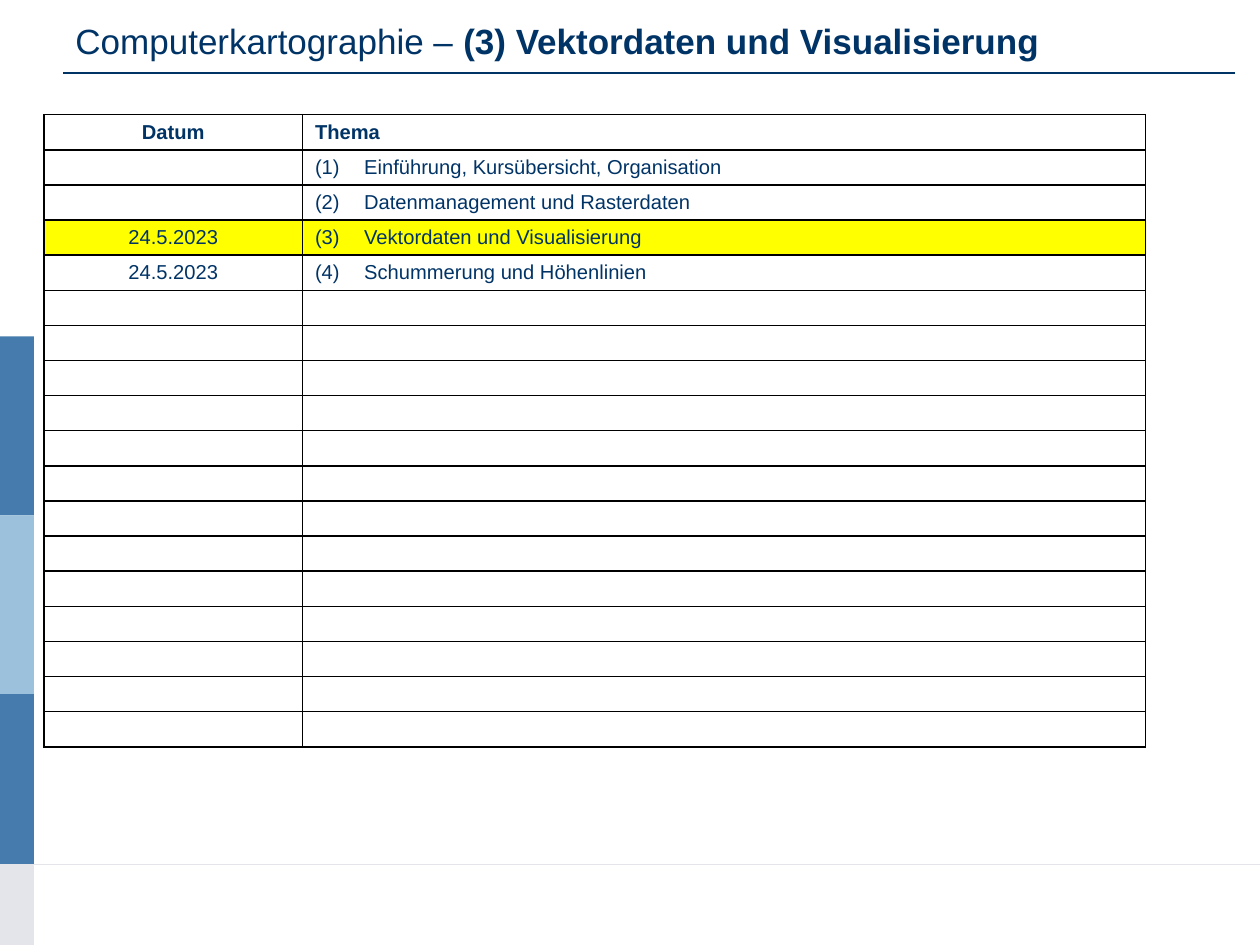
import pptx
import pptx.dml.color
import pptx.enum.shapes
import pptx.enum.text
import pptx.oxml.ns
import pptx.util
from lxml import etree

RGB = pptx.dml.color.RGBColor
NAVY = RGB(0x00, 0x33, 0x66)
STEEL = RGB(0x45, 0x7B, 0xAD)
SKY = RGB(0x9C, 0xC1, 0xDD)
MIST = RGB(0xE4, 0xE5, 0xEA)
YELLOW = RGB(0xFF, 0xFF, 0x00)
BLACK = RGB(0x00, 0x00, 0x00)

ALIGN = pptx.enum.text.PP_ALIGN
MIDDLE = pptx.enum.text.MSO_ANCHOR.MIDDLE
QN = pptx.oxml.ns.qn

GRID_COLUMNS, GRID_ROWS = 100, 75
TABLE_ROWS = 18
HEADER = ("Datum", "Thema")
SESSIONS = [
    ("", "(1)\tEinführung, Kursübersicht, Organisation"),
    ("", "(2)\tDatenmanagement und Rasterdaten"),
    ("24.5.2023", "(3)\tVektordaten und Visualisierung"),
    ("24.5.2023", "(4)\tSchummerung und Höhenlinien"),
]
CURRENT_ROW = 3


class SlideBuilder:
    """Draws on one slide; lengths are columns and rows of a 100 x 75 grid."""

    font_name = "Arial"
    title_size = 20
    table_size = 11.5

    def __init__(self, prs):
        self.s = prs.slides.add_slide(prs.slide_layouts[6])
        self.column = prs.slide_width / GRID_COLUMNS
        self.row = prs.slide_height / GRID_ROWS

    def x(self, columns):
        return pptx.util.Emu(round(columns * self.column))

    def y(self, rows):
        return pptx.util.Emu(round(rows * self.row))

    def place(self, left, top, width, height):
        return self.x(left), self.y(top), self.x(width), self.y(height)

    def bar(self, top, bottom, color):
        sp = self.s.shapes.add_shape(
            pptx.enum.shapes.MSO_SHAPE.RECTANGLE,
            *self.place(0, top, 2.7, bottom - top))
        sp.shadow.inherit = False
        sp.fill.solid()
        sp.fill.fore_color.rgb = color
        sp.line.fill.background()

    def rule(self, left, right, top, color, width):
        line = self.s.shapes.add_connector(
            pptx.enum.shapes.MSO_CONNECTOR.STRAIGHT,
            self.x(left), self.y(top), self.x(right), self.y(top))
        line.line.color.rgb = color
        line.line.width = pptx.util.Pt(width)
        etree.SubElement(line._element.spPr, QN("a:effectLst"))

    def run(self, p, text, size, bold=False):
        r = p.add_run()
        r.text = text
        style = {"name": self.font_name, "size": pptx.util.Pt(size), "bold": bold}
        for name, value in style.items():
            setattr(r.font, name, value)
        r.font.color.rgb = NAVY

    def title(self, parts, left, top, width, height):
        sp = self.s.shapes.add_textbox(*self.place(left, top, width, height))
        tf = sp.text_frame
        tf.word_wrap = True
        tf.vertical_anchor = MIDDLE
        for text, bold in parts:
            self.run(tf.paragraphs[0], text, self.title_size, bold)

    def cell_borders(self, cell):
        tc_pr = cell._tc.get_or_add_tcPr()
        for side in ("lnL", "lnR", "lnT", "lnB"):
            ln = etree.SubElement(tc_pr, QN(f"a:{side}"), w=str(pptx.util.Pt(1)))
            fill = etree.SubElement(ln, QN("a:solidFill"))
            etree.SubElement(fill, QN("a:srgbClr"), val=str(BLACK))

    def hanging_indent(self, p, columns):
        p_pr = p._p.get_or_add_pPr()
        indent = self.x(columns)
        p_pr.set("marL", str(indent))
        p_pr.set("indent", str(-indent))

    def cell(self, cell, text, centered, bold, fill):
        self.cell_borders(cell)
        if fill is None:
            cell.fill.background()
        else:
            cell.fill.solid()
            cell.fill.fore_color.rgb = fill
        layout = {"margin_top": self.y(0.4), "margin_bottom": self.y(0.4),
                  "vertical_anchor": MIDDLE}
        for name, value in layout.items():
            setattr(cell, name, value)
        p = cell.text_frame.paragraphs[0]
        p.alignment = ALIGN.CENTER if centered else ALIGN.LEFT
        if "\t" in text:
            self.hanging_indent(p, 3.9)
        if text:
            self.run(p, text, self.table_size, bold)
        else:
            # Keeps an empty row as low as a filled one
            etree.SubElement(p._p, QN("a:endParaRPr"),
                             sz=str(round(self.table_size * 100)))

    def table(self, rows, left, top, widths, row_height, highlighted):
        table = self.s.shapes.add_table(
            len(rows), len(widths),
            *self.place(left, top, sum(widths), row_height * len(rows))).table
        table.first_row = table.horz_banding = False
        for column, width in zip(table.columns, widths):
            column.width = self.x(width)
        for i, texts in enumerate(rows):
            table.rows[i].height = self.y(row_height)
            fill = YELLOW if i == highlighted else None
            for j, text in enumerate(texts):
                self.cell(table.cell(i, j), text, j == 0, i == 0, fill)


def main():
    prs = pptx.Presentation()
    prs.slide_width = pptx.util.Inches(10)
    prs.slide_height = pptx.util.Inches(7.5)
    slide = SlideBuilder(prs)

    edges = [26.7, 40.9, 55.1, 68.6, 75]
    for top, bottom, color in zip(edges, edges[1:], (STEEL, SKY, STEEL, MIST)):
        slide.bar(top, bottom, color)
    slide.rule(0, 100, 68.6, MIST, 0.5)

    slide.title([("Computerkartographie – ", False),
                 ("(3) Vektordaten und Visualisierung", True)], 5, 0.5, 90, 5.5)
    slide.rule(5, 98, 5.8, NAVY, 0.75)

    rows = [HEADER, *SESSIONS]
    rows += [("", "")] * (TABLE_ROWS - len(rows))
    slide.table(rows, 3.5, 9.1, (20.5, 66.9), 2.79, CURRENT_ROW)

    prs.save("out.pptx")


if __name__ == "__main__":
    main()
